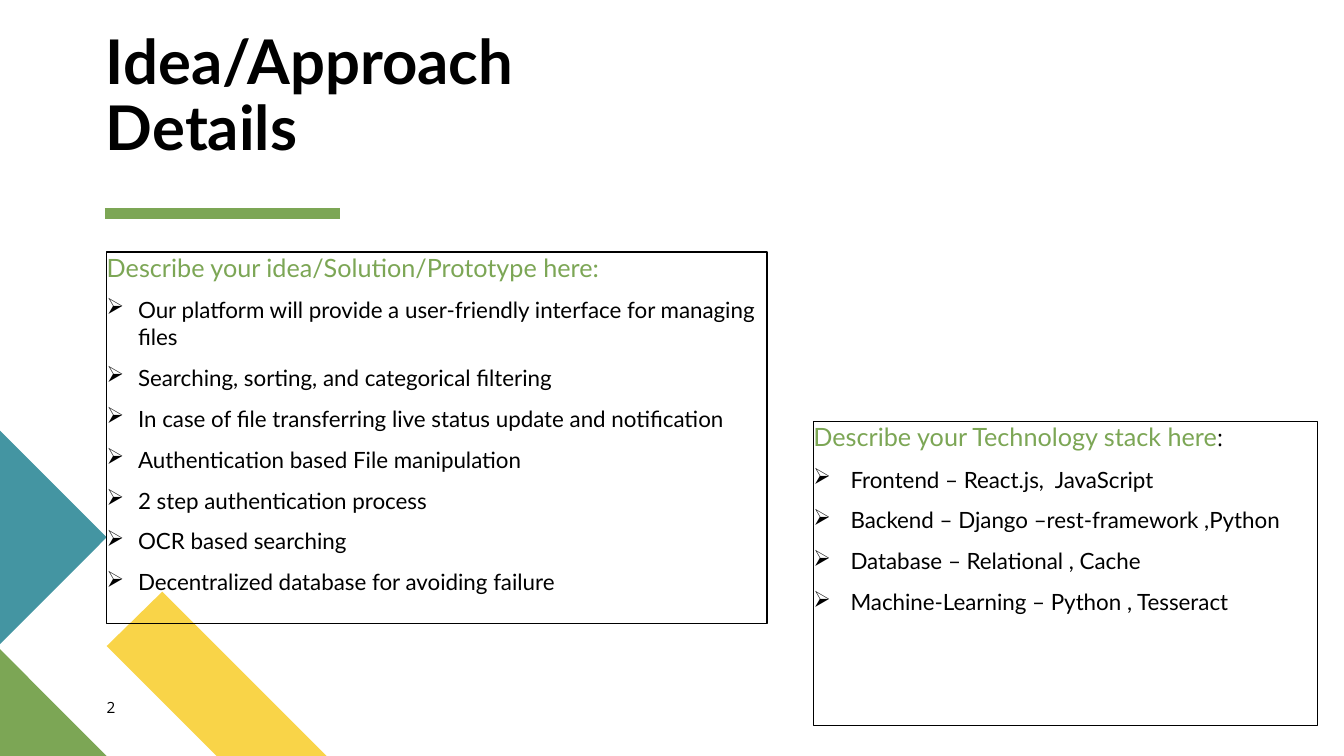
import pptx
import pptx.dml.color
import pptx.enum.shapes
import pptx.enum.text
import pptx.oxml.ns
import pptx.util
from lxml import etree
from pptx.util import Cm

COLORS = {"green": "7CA655", "yellow": "F9D448", "teal": "4495A2", "black": "000000"}
HEADING_FONT = "Lato"
NUMBER_FONT = "Open Sans"

IDEA_HEADING = [("Describe your idea/Solution/Prototype here:", HEADING_FONT, 18, "green")]
IDEA_POINTS = [
    "Our platform will provide a user-friendly interface for managing files",
    "Searching, sorting, and categorical filtering",
    "In case of file transferring live status update and notification",
    "Authentication based File manipulation",
    "2 step authentication process",
    "OCR based searching",
    "Decentralized database for avoiding failure",
]
STACK_HEADING = [
    ("Describe your Technology stack here", HEADING_FONT, 18, "green"),
    (":", NUMBER_FONT, 16, "black"),
]
STACK_POINTS = [
    " Frontend – React.js,  JavaScript",
    " Backend – Django –rest-framework ,Python",
    " Database – Relational , Cache",
    " Machine-Learning – Python , Tesseract",
]
# Corner points in centimetres
CORNER_SHAPES = [
    ("yellow", [(8.23, 19.05), (5.46, 19.05), (2.69, 16.28), (4.09, 14.91)]),
    ("green", [(2.69, 19.05), (0, 19.05), (0, 16.36)]),
    ("teal", [(0, 10.85), (2.69, 13.54), (0, 16.23)]),
]


def rgb(color):
    """Return the named colour as an RGBColor."""
    return pptx.dml.color.RGBColor.from_string(COLORS[color])


def format_run(run, font, size, color, bold=False):
    """Set the font, size, colour and weight of a run."""
    run.font.name = font
    run.font.size = pptx.util.Pt(size)
    run.font.color.rgb = rgb(color)
    run.font.bold = bold


def place(box, left, top, width, height):
    """Put a text shape in its place, in centimetres, without insets."""
    box.left, box.top, box.width, box.height = map(Cm, (left, top, width, height))
    frame = box.text_frame
    frame.margin_left = frame.margin_right = frame.margin_top = frame.margin_bottom = 0
    frame.word_wrap = True
    frame.auto_size = pptx.enum.text.MSO_AUTO_SIZE.NONE
    frame.vertical_anchor = pptx.enum.text.MSO_ANCHOR.TOP


def set_bullet(paragraph, indent, arrow):
    """Give a paragraph its indent and an arrow bullet, or none."""
    properties = paragraph._p.get_or_add_pPr()
    properties.set("marL", str(Cm(indent)))
    properties.set("indent", str(-Cm(indent)))

    def add(parent, tag, **attributes):
        return etree.SubElement(parent, pptx.oxml.ns.qn(tag), **attributes)

    if arrow:
        add(add(properties, "a:buClr"), "a:srgbClr", val=COLORS["black"])
        add(properties, "a:buFont", typeface="Wingdings", charset="2")
        add(properties, "a:buChar", char="Ø")
    else:
        add(properties, "a:buNone")


def add_corner_shape(slide, color, points):
    """Draw one filled polygon of the corner decoration."""
    corners = [(Cm(x), Cm(y)) for x, y in points]
    builder = slide.shapes.build_freeform(*corners[0])
    builder.add_line_segments(corners[1:], close=True)
    polygon = builder.convert_to_shape()
    polygon.shadow.inherit = False
    polygon.fill.solid()
    polygon.fill.fore_color.rgb = rgb(color)
    polygon.line.fill.background()


def add_title_rule(slide):
    """Draw the thick rule below the title."""
    rule = slide.shapes.add_connector(
        pptx.enum.shapes.MSO_CONNECTOR.STRAIGHT, Cm(2.64), Cm(5.39), Cm(8.58), Cm(5.39))
    rule.line.color.rgb = rgb("green")
    rule.line.width = pptx.util.Pt(8)
    etree.SubElement(rule._element.spPr, pptx.oxml.ns.qn("a:effectLst"))


def fill_title(title):
    """Write the slide title, growing upwards from its bottom edge."""
    place(title, 2.67, 2.44, 15.37, 1.7)
    title.text_frame.vertical_anchor = pptx.enum.text.MSO_ANCHOR.BOTTOM
    title.text_frame.text = "Idea/Approach Details"
    paragraph = title.text_frame.paragraphs[0]
    paragraph.alignment = pptx.enum.text.PP_ALIGN.LEFT
    paragraph.line_spacing = 0.9
    format_run(paragraph.runs[0], HEADING_FONT, 44, "black", bold=True)


def fill_list(box, bounds, heading, points):
    """Write a coloured heading and arrow-bulleted points in an outlined box."""
    place(box, *bounds)
    box.line.color.rgb = rgb("black")
    box.line.width = pptx.util.Pt(0.75)
    heading_line = box.text_frame.paragraphs[0]
    set_bullet(heading_line, 0, arrow=False)
    heading_line.space_before = pptx.util.Pt(0)
    for words, font, size, color in heading:
        run = heading_line.add_run()
        run.text = words
        format_run(run, font, size, color)
    for point in points:
        paragraph = box.text_frame.add_paragraph()
        paragraph.text = point
        set_bullet(paragraph, 0.79, arrow=True)
        paragraph.space_before = pptx.util.Pt(10)
        format_run(paragraph.runs[0], HEADING_FONT, 16, "black")


def add_page_number(slide):
    """Write the page number at the bottom left."""
    number = slide.shapes.add_textbox(0, 0, 0, 0)
    place(number, 2.69, 17.58, 1.45, 0.69)
    number.text_frame.text = "2"
    format_run(number.text_frame.paragraphs[0].runs[0], NUMBER_FONT, 11, "black")


def main():
    """Build the slide and save it."""
    deck = pptx.Presentation()
    deck.slide_width, deck.slide_height = Cm(33.87), Cm(19.05)
    slide = deck.slides.add_slide(deck.slide_layouts.get_by_name("Two Content"))
    title, idea, stack = list(slide.placeholders)[:3]

    for color, points in CORNER_SHAPES:
        add_corner_shape(slide, color, points)
    add_title_rule(slide)
    # Bring the text in front of the decoration
    for box in (title, idea, stack):
        slide.shapes._spTree.append(box._element)

    fill_title(title)
    fill_list(idea, (2.69, 6.35, 16.64, 9.37), IDEA_HEADING, IDEA_POINTS)
    fill_list(stack, (20.5, 10.62, 12.7, 7.67), STACK_HEADING, STACK_POINTS)
    add_page_number(slide)
    deck.save("out.pptx")


main()
